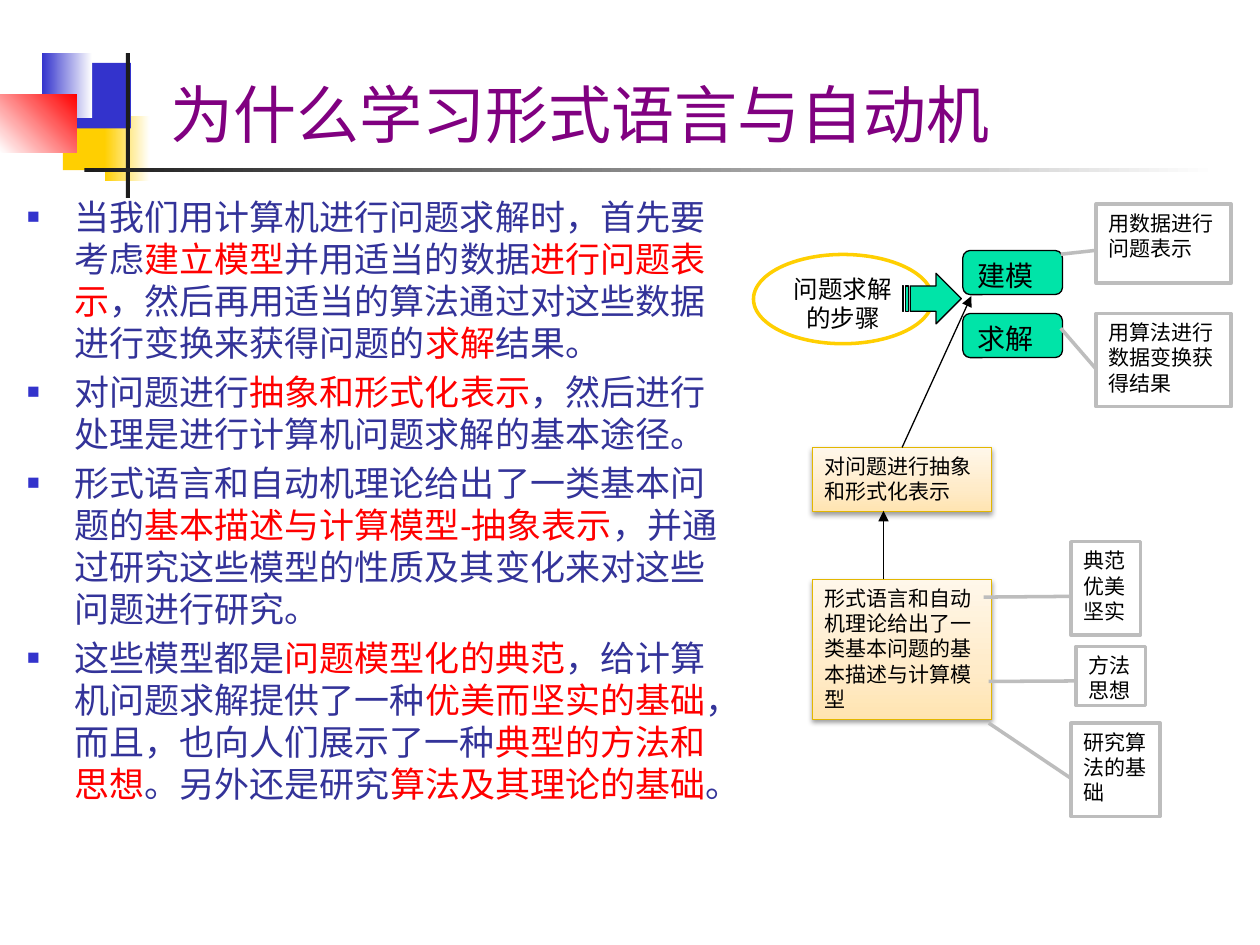
from lxml import etree
from pptx import Presentation
from pptx.dml.color import RGBColor
from pptx.enum.shapes import MSO_CONNECTOR, MSO_SHAPE
from pptx.enum.text import MSO_ANCHOR, PP_ALIGN
from pptx.oxml.ns import qn
from pptx.util import Cm, Pt

RECTANGLE = MSO_SHAPE.RECTANGLE
ROUNDED = MSO_SHAPE.ROUNDED_RECTANGLE
OVAL = MSO_SHAPE.OVAL
STRIPED_ARROW = MSO_SHAPE.STRIPED_RIGHT_ARROW
CALLOUT = MSO_SHAPE.LINE_CALLOUT_1
STRAIGHT = MSO_CONNECTOR.STRAIGHT
TOP, BOTTOM = MSO_ANCHOR.TOP, MSO_ANCHOR.BOTTOM
LEFT, CENTER = PP_ALIGN.LEFT, PP_ALIGN.CENTER
TITLE_ONLY = 5

COLORS = {
    "white": "FFFFFF", "black": "000000", "ink": "1C1C1C", "yellow": "FFCF01",
    "blue": "3333CC", "red": "FF0000", "purple": "800080", "navy": "333399",
    "green": "00E4A8", "gray": "BDBDBD", "gold": "E3B700",
    "sand": "FFE4B1", "cream": "FFEBC8", "ivory": "FFF7EA",
}
SAND_GRADIENT = ([(0, "sand"), (35, "cream"), (100, "ivory")], 90)

POINTS = [
    "当我们用计算机进行问题求解时，首先要考虑|建立模型|并用适当的数据|进行问题表示|"
    "，然后再用适当的算法通过对这些数据进行变换来获得问题的|求解|结果。",
    "对问题进行|抽象和形式化表示|，然后进行处理是进行计算机问题求解的基本途径。",
    "形式语言和自动机理论给出了一类基本问题的|基本描述与计算模型-抽象表示|"
    "，并通过研究这些模型的性质及其变化来对这些问题进行研究。",
    "这些模型都是|问题模型化的典范|，给计算机问题求解提供了一种|优美而坚实的基础|"
    "，而且，也向人们展示了一种|典型的方法和思想|。另外还是研究|算法及其理论的基础|。",
]
DECORATIONS = [
    ((1.27, 2.11, 1.22, 1.32), "yellow"),
    ((2.11, 2.34, 0.91, 1.32), ([(0, "yellow"), (100, "white")], 0)),
    ((1.47, 1.27, 1.17, 1.32), "blue"),
    ((0.84, 1.07, 1.02, 1.32), ([(0, "blue"), (100, "white")], 0)),
    ((0, 1.9, 1.55, 1.17), ([(0, "white"), (100, "red")], 45)),
    ((2.54, 1.07, 0.08, 2.92), "ink"),
    ((1.7, 3.38, 22.86, 0.08), ([(0, "ink"), (100, "white")], 0)),
]
CALLOUTS = [
    ((22.1, 4.11, 2.72, 1.6), "用数据进行问题表示", (0.635, -0.263)),
    ((22.1, 6.32, 2.72, 1.88), "用算法进行数据变换获得结果", (0.159, -0.263)),
    ((21.59, 10.92, 1.4, 1.88), "典范\n优美\n坚实", (0.595, -1.257)),
    ((21.59, 14.58, 1.8, 1.88), "研究算法的基础", (-0.002, -0.921)),
    ((21.69, 13.03, 1.4, 1.19), "方法\n思想", (0.595, -1.257)),
]


def rgb(name):
    return RGBColor.from_string(COLORS[name])


def add_element(parent, tag, **attributes):
    return etree.SubElement(parent, qn(tag), attributes)


def add_bullet(paragraph):
    properties = paragraph._p.get_or_add_pPr()
    properties.set("marL", str(Cm(0.95)))
    properties.set("indent", str(-Cm(0.95)))
    add_element(add_element(properties, "a:buClr"), "a:srgbClr", val=COLORS["blue"])
    add_element(properties, "a:buSzPct", val="60000")
    add_element(properties, "a:buFont", typeface="Arial")
    add_element(properties, "a:buChar", char="■")


def write_text(frame, text, size=12, font="Times New Roman", color="black", accent="red",
               align=LEFT, anchor=TOP, bullets=False, space=0):
    frame.word_wrap = True
    frame.vertical_anchor = anchor
    for index, line in enumerate(text.split("\n")):
        paragraph = frame.add_paragraph() if index else frame.paragraphs[0]
        paragraph.alignment = align
        paragraph.space_before = Pt(space if index else 0)
        if bullets:
            add_bullet(paragraph)
        for position, part in enumerate(line.split("|")):
            run = paragraph.add_run()
            run.text = part
            run.font.name = font
            run.font.size = Pt(size)
            run.font.color.rgb = rgb(accent if position % 2 else color)


def fill_gradient(shape, stops, angle):
    shape.fill.gradient()
    shape.fill.gradient_angle = angle
    stop_list = shape._element.spPr.find(".//" + qn("a:gsLst"))
    for child in list(stop_list):
        stop_list.remove(child)
    for percent, name in stops:
        stop = add_element(stop_list, "a:gs", pos=str(percent * 1000))
        add_element(stop, "a:srgbClr", val=COLORS[name])


def add_box(slide, kind, box, fill, line=None, width=0.75):
    shape = slide.shapes.add_shape(kind, *map(Cm, box))
    shape.shadow.inherit = False
    if isinstance(fill, str):
        shape.fill.solid()
        shape.fill.fore_color.rgb = rgb(fill)
    else:
        fill_gradient(shape, *fill)
    if line:
        shape.line.color.rgb = rgb(line)
        shape.line.width = Pt(width)
    else:
        shape.line.fill.background()
    return shape


def add_callout(slide, box, text, target):
    shape = add_box(slide, CALLOUT, box, "white", "gray", 2)
    for index, value in enumerate((0.587, -0.007, *target)):
        shape.adjustments[index] = value
    write_text(shape.text_frame, text)


def add_theory_box(slide, box, text):
    shape = add_box(slide, RECTANGLE, box, SAND_GRADIENT, "gold")
    effects = shape._element.spPr.find(qn("a:effectLst"))
    shadow = add_element(effects, "a:outerShdw", blurRad=str(Pt(3.1)), dist=str(Pt(1.6)),
                         dir="5400000", rotWithShape="0")
    color = add_element(shadow, "a:srgbClr", val=COLORS["black"])
    add_element(color, "a:alpha", val="38000")
    write_text(shape.text_frame, text)
    return shape


def add_arrow(slide, start, end):
    connector = slide.shapes.add_connector(STRAIGHT, *map(Cm, start + end))
    connector.line.color.rgb = rgb("black")
    connector.line.width = Pt(0.75)
    add_element(connector.line._get_or_add_ln(), "a:tailEnd", type="triangle")
    add_element(connector._element.spPr, "a:effectLst")
    return connector


def add_title(slide, text):
    title = slide.shapes.title
    title.left, title.top, title.width, title.height = map(Cm, (3.18, 0.84, 21.64, 2.34))
    write_text(title.text_frame, text, size=36, font="Arial", color="purple", anchor=BOTTOM)


def add_points(slide):
    body = slide.shapes.add_textbox(*map(Cm, (0.3, 3.81, 14.43, 13.97)))
    write_text(body.text_frame, "\n".join(POINTS), size=20, font="Arial", color="navy",
               bullets=True, space=4)


def add_diagram(slide):
    steps = add_box(slide, OVAL, (15.19, 5.13, 3.61, 1.8), "white", "yellow", 2)
    write_text(steps.text_frame, "问题求解的步骤", size=14, align=CENTER)
    for top, text in ((5.05, "建模"), (6.32, "求解")):
        step = add_box(slide, ROUNDED, (19.41, top, 2.01, 0.89), "green", "black")
        write_text(step.text_frame, text, size=16, font="Arial")
    add_box(slide, STRIPED_ARROW, (18.19, 5.51, 1.19, 1.02), "green", "black")
    abstraction = add_theory_box(slide, (16.38, 9.02, 3.61, 1.3), "对问题进行抽象和形式化表示")
    add_theory_box(slide, (16.38, 11.68, 3.61, 2.82),
                   "形式语言和自动机理论给出了一类基本问题的基本描述与计算模型")
    add_arrow(slide, (18.19, 9.02), (19.58, 5.97)).begin_connect(abstraction, 0)
    add_arrow(slide, (17.81, 11.68), (17.81, 10.3))
    for callout in CALLOUTS:
        add_callout(slide, *callout)


def main():
    presentation = Presentation()
    presentation.slide_width, presentation.slide_height = Cm(25.4), Cm(19.05)
    slide = presentation.slides.add_slide(presentation.slide_layouts[TITLE_ONLY])
    for box, fill in DECORATIONS:
        add_box(slide, RECTANGLE, box, fill)
    add_title(slide, "为什么学习形式语言与自动机")
    add_points(slide)
    add_diagram(slide)
    presentation.save("out.pptx")


if __name__ == "__main__":
    main()
